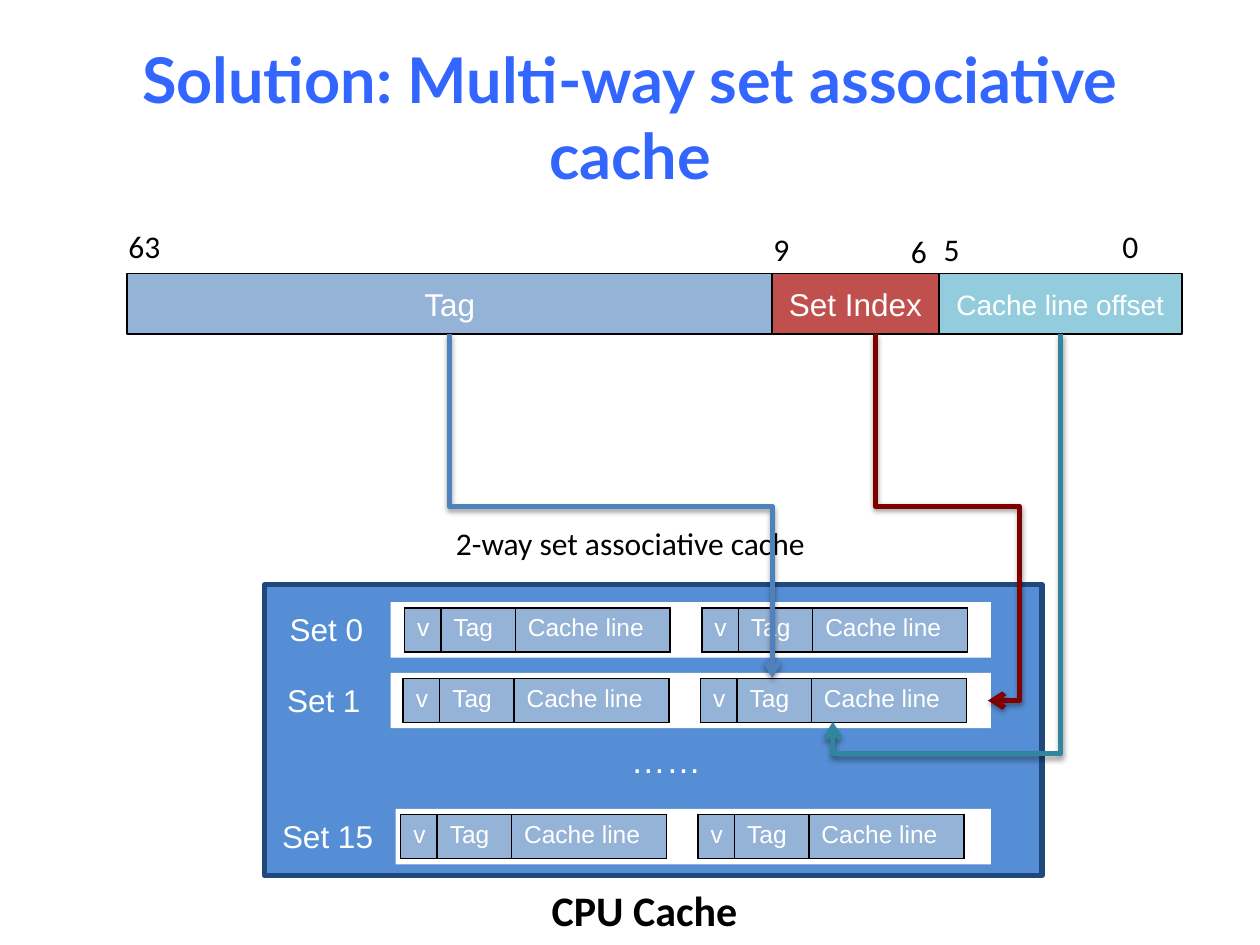
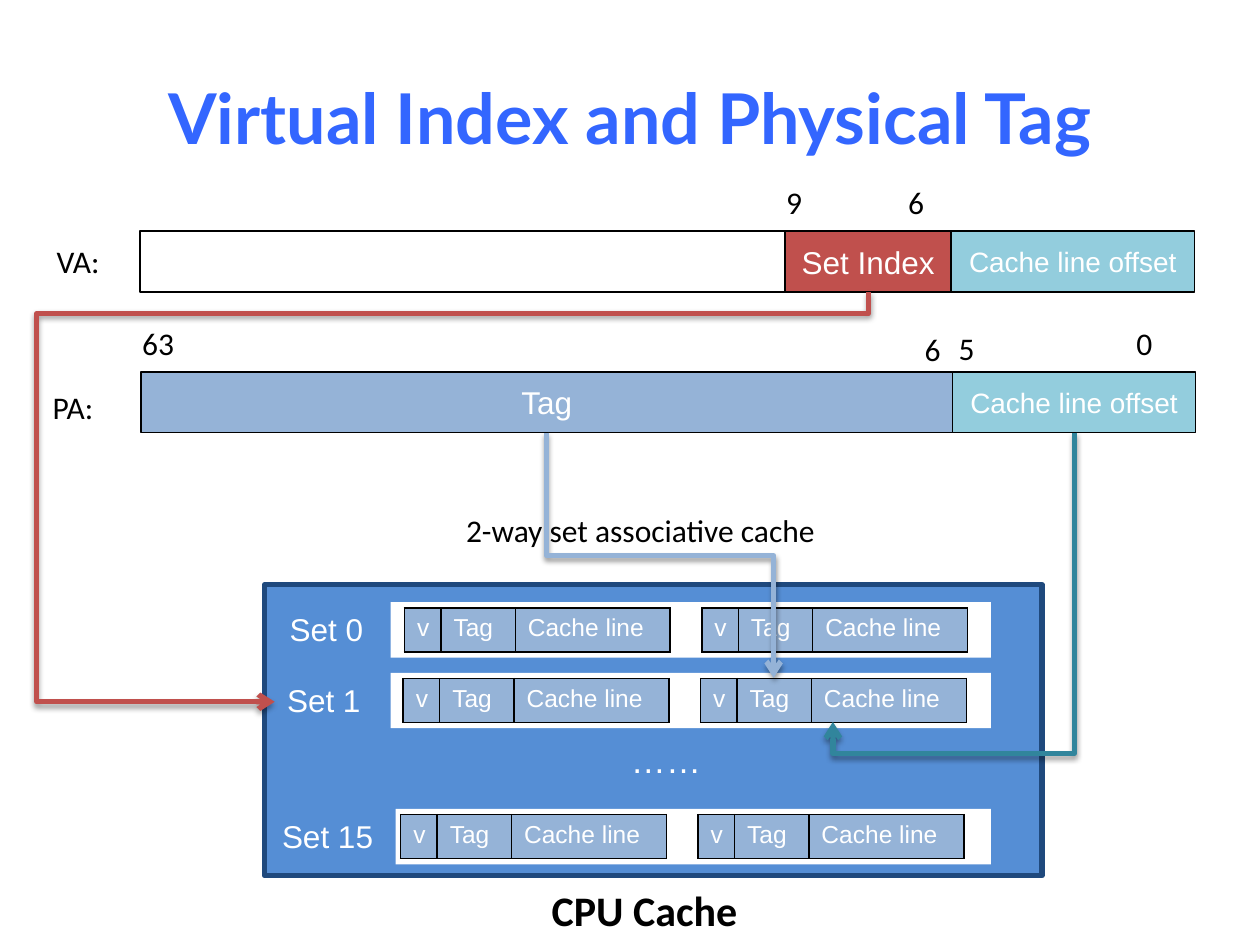
from dataclasses import dataclass

from lxml import etree
from pptx import Presentation
from pptx.dml.color import RGBColor
from pptx.enum.shapes import MSO_CONNECTOR, MSO_SHAPE
from pptx.enum.text import MSO_ANCHOR, MSO_AUTO_SIZE, PP_ALIGN
from pptx.oxml import parse_xml
from pptx.oxml.ns import nsdecls, qn
from pptx.util import Inches, Pt

ELBOW = MSO_CONNECTOR.ELBOW
RECT = MSO_SHAPE.RECTANGLE
MIDDLE = MSO_ANCHOR.MIDDLE
CENTER = PP_ALIGN.CENTER
FIXED = MSO_AUTO_SIZE.NONE

COLS, ROWS = 100, 75
WIDTH, HEIGHT = Inches(10), Inches(7.5)


@dataclass(frozen=True)
class Theme:
    title: str = "3366FF"
    ink: str = "000000"
    white: str = "FFFFFF"
    cache: str = "558ED5"
    edge: str = "1F497D"
    tag: str = "95B3D7"
    index: str = "C0504D"
    offset: str = "93CDDD"
    blue: str = "4F81BD"
    maroon: str = "800000"
    teal: str = "31859C"
    head: str = "Lato"
    body: str = "Calibri"
    sans: str = "Arial"
    cell: int = 14
    small: int = 16
    text: int = 18
    dots: int = 20
    name: int = 24
    thin: int = 1
    thick: int = 3


T = Theme()
FIELD_H = 4.83
STRIP_H, STRIP_END = 4.4, 78.65
WAY_GAP, WAY_H = 23.6, 3.5
CELLS = (("v", 2.9), ("Tag", 5.9), ("Cache line", 12.3))
SETS = (("Set 0", 22, 31, 47.8, 32.1),
        ("Set 1", 21.8, 31, 53.4, 32),
        ("Set 15", 21.4, 31.4, 64.2, 31.8))
INDEX = ("Set Index", 13.2, T.index, T.text)
OFFSET = ("Cache line offset", 19.3, T.offset, T.small)


def col(n):
    return round(WIDTH * n / COLS)


def row(n):
    return round(HEIGHT * n / ROWS)


def area(x, y, w, h):
    return col(x), row(y), col(w), row(h)


def style(frame, size, font, color, bold=False, align=None):
    for para in frame.paragraphs:
        if align is not None:
            para.alignment = align
        for run in para.runs:
            run.font.size = Pt(size)
            run.font.name = font
            run.font.bold = bold
            run.font.color.rgb = RGBColor.from_string(color)


def start(prs, text, size):
    slide = prs.slides.add_slide(prs.slide_layouts[5])
    title = slide.shapes.title
    title.left, title.top, title.width, title.height = area(5, 3, 90, 12.5)
    frame = title.text_frame
    frame.text = text
    frame.auto_size = FIXED
    frame.vertical_anchor = MIDDLE
    style(frame, size, T.head, T.title, True, CENTER)
    return slide


def label(slide, text, x, y, w=5.9, h=4, size=T.text, font=T.body,
          color=T.ink, bold=False, wrap=True):
    frame = slide.shapes.add_textbox(*area(x, y, w, h)).text_frame
    frame.text = text
    frame.word_wrap = wrap
    style(frame, size, font, color, bold)


def box(slide, x, y, w, h, fill, edge=None, line=T.thin):
    shape = slide.shapes.add_shape(RECT, *area(x, y, w, h))
    shape.shadow.inherit = False
    shape.fill.solid()
    shape.fill.fore_color.rgb = RGBColor.from_string(fill)
    if edge:
        shape.line.color.rgb = RGBColor.from_string(edge)
        shape.line.width = Pt(line)
    else:
        shape.line.fill.background()
    return shape


def word(slide, x, y, fields):
    ports = []
    for text, w, fill, size in fields:
        shape = box(slide, x, y, w, FIELD_H, fill, T.ink)
        if text:
            frame = shape.text_frame
            frame.text = text
            frame.vertical_anchor = MIDDLE
            style(frame, size, T.sans, T.white, align=CENTER)
        ports.append((x + w / 2, y + FIELD_H))
        x += w
    return ports


def frame_cell(cell):
    props = cell._tc.get_or_add_tcPr()
    for side in ("lnL", "lnR", "lnT", "lnB"):
        props.append(parse_xml(
            f'<a:{side} {nsdecls("a")} w="{Pt(T.thin)}"><a:solidFill>'
            f'<a:srgbClr val="{T.ink}"/></a:solidFill></a:{side}>'))


def way(slide, x, y):
    total = sum(w for _, w in CELLS)
    spot = area(x, y, total, WAY_H)
    table = slide.shapes.add_table(1, len(CELLS), *spot).table
    table.first_row = table.horz_banding = False
    for n, (text, w) in enumerate(CELLS):
        table.columns[n].width = col(w)
        cell = table.cell(0, n)
        cell.text = text
        style(cell.text_frame, T.cell, T.sans, T.white)
        frame_cell(cell)
        cell.fill.solid()
        cell.fill.fore_color.rgb = RGBColor.from_string(T.tag)


def cache(slide, x, y):
    box(slide, 21, 46.4, 61.7, 23.1, T.cache, T.edge, T.thick)
    label(slide, "CPU Cache", 42.8, 69.7, 27.2, 5, T.name, bold=True)
    for name, left, strip, top, first in SETS:
        label(slide, name, left, top + 0.15, 9.4, font=T.sans, color=T.white)
        box(slide, strip, top, STRIP_END - strip, STRIP_H, T.white)
        for n in range(2):
            way(slide, first + n * WAY_GAP, top + 0.45)
    label(slide, "……", 49.1, 58.1, 7.6, 4.4, T.dots, T.sans, T.white,
          wrap=False)
    label(slide, "2-way set associative cache", x, y, 30.1, wrap=False)


def arrow(slide, begin, end, color, bend, side=None):
    (x1, y1), (x2, y2) = begin, end
    dx, dy = x2 - x1, y2 - y1
    w, h = abs(dy), abs(dx)
    left, top = (x1 + x2 - w) / 2, (y1 + y2 - h) / 2
    line = slide.shapes.add_connector(
        ELBOW, col(left), row(top), col(left + w), row(top + h))
    line.line.color.rgb = RGBColor.from_string(color)
    line.line.width = Pt(T.thick)
    props = line._element.spPr
    turn = props.find(qn("a:xfrm"))
    turn.set("rot", str((270 if dx > 0 else 90) * 60000))
    if dx > 0:
        turn.set("flipH", "1")
    shares = [(bend - y1) / dy]
    if side is not None:
        shares.append((side - x1) / dx)
    geom = props.find(qn("a:prstGeom"))
    geom.set("prst", f"bentConnector{len(shares) + 2}")
    guides = geom.find(qn("a:avLst"))
    for n, share in enumerate(shares, 1):
        etree.SubElement(guides, qn("a:gd"), name=f"adj{n}",
                         fmla=f"val {round(share * 100000)}")
    etree.SubElement(props.find(qn("a:ln")), qn("a:tailEnd"), type="arrow")
    props.append(parse_xml(
        f'<a:effectLst {nsdecls("a")}><a:outerShdw blurRad="{Pt(3.1)}" '
        f'dist="{Pt(1.6)}" dir="5400000" rotWithShape="0">'
        f'<a:srgbClr val="{T.ink}"><a:alpha val="38000"/></a:srgbClr>'
        '</a:outerShdw></a:effectLst>'))


def bits(slide, marks):
    for text, x, y in marks:
        label(slide, text, x, y)


def multi(prs):
    slide = start(prs, "Solution: Multi-way set associative cache", 36)
    cache(slide, 35.2, 41.1)
    bits(slide, (("63", 9.2, 17.5), ("9", 60.4, 17.8), ("6", 71.3, 17.9),
                 ("5", 73.9, 17.8), ("0", 88.1, 17.5)))
    tag, index, offset = word(
        slide, 10.1, 21.7,
        (("Tag", 51.2, T.tag, T.text), INDEX, OFFSET))
    arrow(slide, tag, (61.3, 53.8), T.blue, 40.2)
    arrow(slide, (69.5, index[1]), (78.4, 55.6), T.maroon, 40.2, 80.9)
    arrow(slide, offset, (66.1, 57.3), T.teal, 59.8)


def virtual(prs):
    slide = start(prs, "Virtual Index and Physical Tag", 40)
    cache(slide, 36, 40.1)
    bits(slide, (("VA:", 3.5, 18.7), ("9", 61.4, 14), ("6", 71.1, 14),
                 ("PA:", 3.2, 30.3), ("63", 10.3, 25.2), ("6", 72.4, 25.7),
                 ("5", 75.1, 25.6), ("0", 89.2, 25.2)))
    _, index, _ = word(
        slide, 11.1, 18.35, (("", 51.2, T.white, T.text), INDEX, OFFSET))
    tag, offset = word(
        slide, 11.2, 29.5, (("Tag", 64.4, T.tag, T.text), OFFSET))
    arrow(slide, offset, (66.1, 57.3), T.teal, 59.8)
    arrow(slide, index, (21.8, 55.7), T.index, 24.9, 2.9)
    arrow(slide, tag, (61.4, 53.8), T.tag, 44.1)


def main():
    prs = Presentation()
    prs.slide_width, prs.slide_height = WIDTH, HEIGHT
    multi(prs)
    virtual(prs)
    prs.save("out.pptx")


if __name__ == "__main__":
    main()
